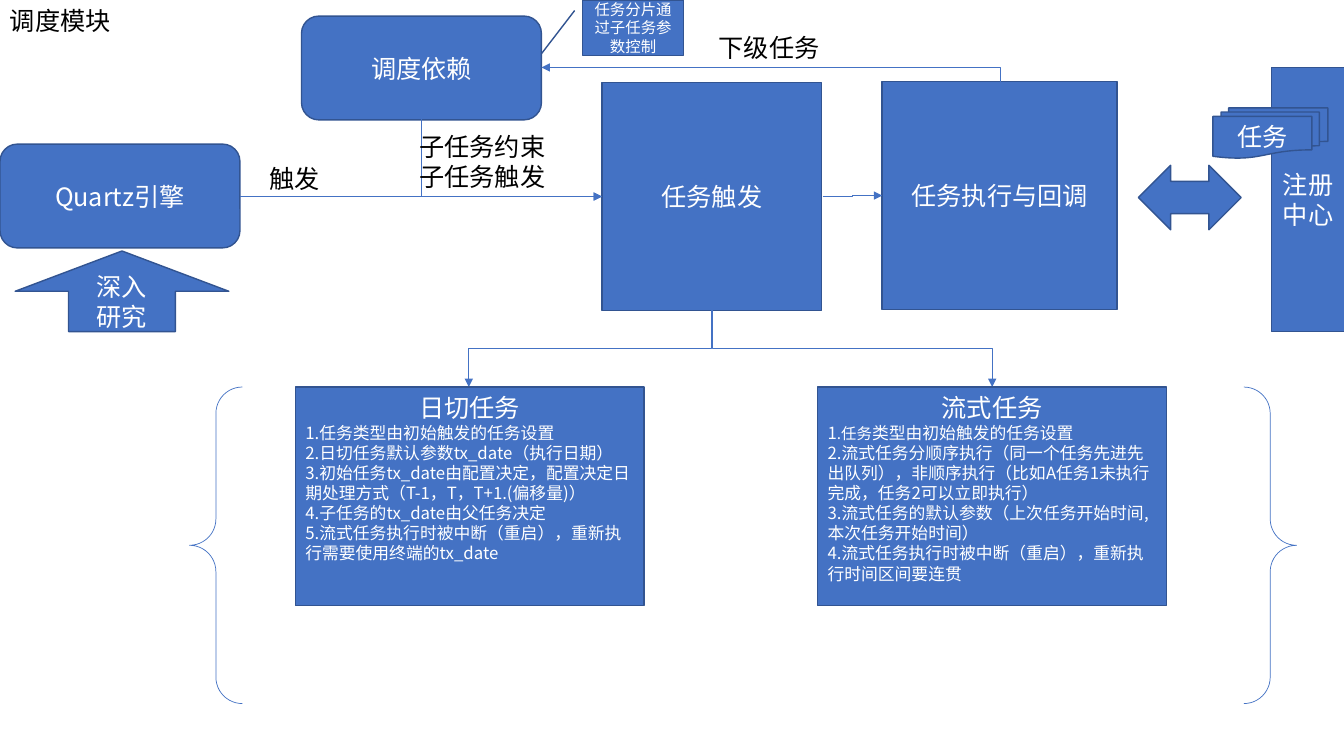
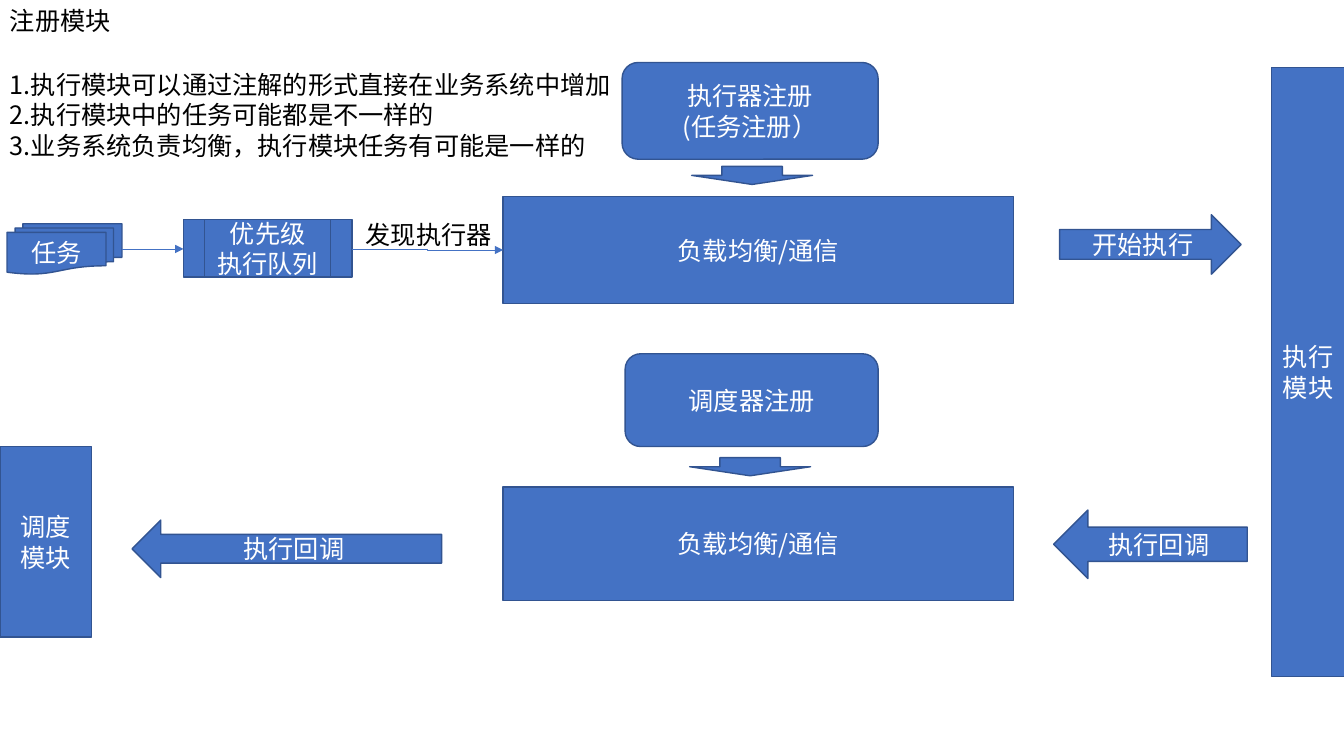
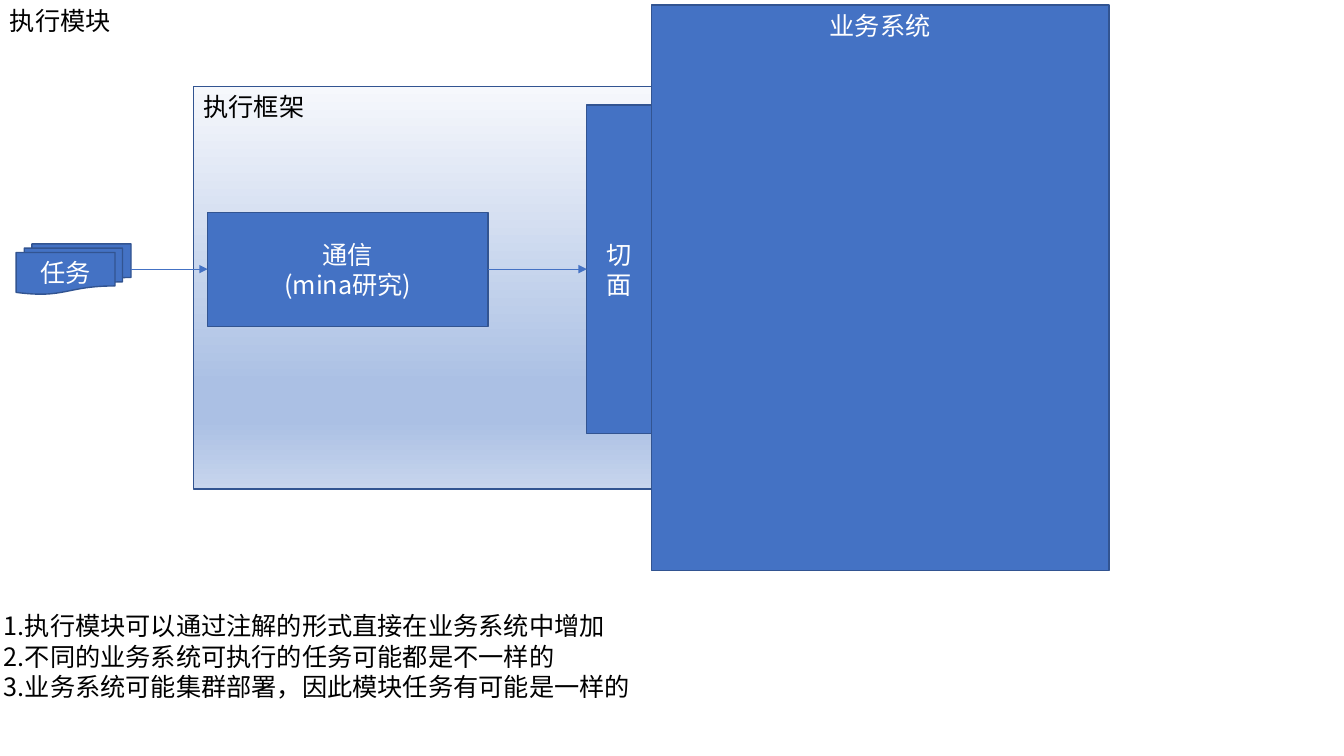
import lxml.etree
import pptx
import pptx.dml.color
import pptx.enum.shapes
import pptx.enum.text
import pptx.oxml.ns
import pptx.util

PX = 9144
FONT = "Noto Sans CJK SC"
BLUE = pptx.dml.color.RGBColor(0x44, 0x72, 0xC4)
EDGE = pptx.dml.color.RGBColor(0x32, 0x54, 0x91)
WHITE = pptx.dml.color.RGBColor(0xFF, 0xFF, 0xFF)
BLACK = pptx.dml.color.RGBColor(0x00, 0x00, 0x00)
FRAME_FADE = (
    (0, pptx.dml.color.RGBColor(0xF6, 0xF8, 0xFC)),
    (74, pptx.dml.color.RGBColor(0xAB, 0xC0, 0xE4)),
    (83, pptx.dml.color.RGBColor(0xAB, 0xC0, 0xE4)),
    (100, pptx.dml.color.RGBColor(0xC7, 0xD5, 0xED)),
)
KIND = pptx.enum.shapes.MSO_SHAPE
CONNECTOR = pptx.enum.shapes.MSO_CONNECTOR
ALIGN = pptx.enum.text.PP_ALIGN
ANCHOR = pptx.enum.text.MSO_ANCHOR
qn = pptx.oxml.ns.qn


def place(slide, at, *lines, kind=None, color=WHITE, size=18, align=ALIGN.CENTER,
          anchor=ANCHOR.MIDDLE, heading=None, wrap=True, fill=BLUE, edge=EDGE, weight=1):
    box = [length * PX for length in at]
    if kind is None:
        part = slide.shapes.add_textbox(*box)
        color, align, anchor = BLACK, ALIGN.LEFT, ANCHOR.TOP
    else:
        part = slide.shapes.add_shape(kind, *box)
        part.shadow.inherit = False
        if fill is None:
            part.fill.background()
        else:
            part.fill.solid()
            part.fill.fore_color.rgb = fill
        part.line.color.rgb = edge
        part.line.width = pptx.util.Pt(weight)
    frame = part.text_frame
    frame.word_wrap = wrap
    frame.vertical_anchor = anchor
    paragraphs = [(line, size, align) for line in lines]
    if heading:
        paragraphs.insert(0, (heading, 18, ALIGN.CENTER))
    for index, (line, points, alignment) in enumerate(paragraphs):
        paragraph = frame.add_paragraph() if index else frame.paragraphs[0]
        paragraph.alignment = alignment
        for words, run_size in line if isinstance(line, tuple) else ((line, points),):
            run = paragraph.add_run()
            run.text = words
            run.font.size = pptx.util.Pt(run_size)
            run.font.name = FONT
            run.font.color.rgb = color
            lxml.etree.SubElement(run.font._element, qn("a:ea"), typeface=FONT)
    return part


def link(slide, start, end, route="across"):
    style = CONNECTOR.STRAIGHT if route == "straight" else CONNECTOR.ELBOW
    (x1, y1), (x2, y2) = start, end
    wire = slide.shapes.add_connector(style, x1 * PX, y1 * PX, x2 * PX, y2 * PX)
    wire.line.color.rgb = BLUE
    wire.line.width = pptx.util.Pt(0.5)
    lxml.etree.SubElement(wire.line._get_or_add_ln(), qn("a:tailEnd"), type="triangle")
    properties = wire._element.spPr
    lxml.etree.SubElement(properties, qn("a:effectLst"))
    if route in ("down", "corner"):
        width, height = abs(y2 - y1), abs(x2 - x1)
        wire.left = (x1 + x2 - width) * PX // 2
        wire.top = (y1 + y2 - height) * PX // 2
        wire.width, wire.height = width * PX, height * PX
        turn = properties.find(qn("a:xfrm"))
        for flip in ("flipH", "flipV"):
            turn.attrib.pop(flip, None)
        turn.set("rot", str((90 if x2 < x1 and y2 > y1 else 270) * 60000))
        if x2 > x1:
            turn.set("flipH", "1")
        elif y2 < y1:
            turn.set("flipV", "1")
        if route == "corner":
            properties.find(qn("a:prstGeom")).set("prst", "bentConnector2")


deck = pptx.Presentation()
deck.slide_width = 1333 * PX
deck.slide_height = 750 * PX
pages = []
for title, task_at in (
    ("调度模块", None),
    ("注册模块", (7, 222)),
    ("执行模块", (16, 242)),
):
    page = deck.slides.add_slide(deck.slide_layouts[6])
    place(page, (0, 0, 121, 40), title, wrap=False)
    if task_at:
        place(page, (*task_at, 114, 50), "任务", kind=KIND.FLOWCHART_MULTIDOCUMENT)
    pages.append(page)
scheduling, registry, execution = pages

for at, words, kind in (
    ((0, 143, 238, 103), "Quartz引擎", KIND.ROUNDED_RECTANGLE),
    ((299, 16, 238, 103), "调度依赖", KIND.ROUNDED_RECTANGLE),
    ((597, 82, 218, 226), "任务触发", KIND.RECTANGLE),
    ((875, 81, 233, 226), "任务执行与回调", KIND.RECTANGLE),
):
    place(scheduling, at, words, kind=kind)
for start, end, route in (
    ((238, 195), (597, 195), "across"),
    ((992, 81), (537, 67), "corner"),
    ((418, 118), (597, 195), "corner"),
    ((816, 195), (875, 194), "across"),
    ((706, 308), (465, 384), "down"),
    ((706, 308), (984, 384), "down"),
):
    link(scheduling, start, end, route)
place(scheduling, (406, 125, 146, 71), "子任务约束", "子任务触发", wrap=False)
place(scheduling, (257, 157, 71, 40), "触发", wrap=False)
place(scheduling, (703, 27, 121, 40), "下级任务", wrap=False)
place(scheduling, (188, 384, 1098, 314), kind=KIND.DOUBLE_BRACE, fill=None, edge=BLUE, weight=0.5)
for left, heading, rules in (
    (293, "日切任务", (
        "1.任务类型由初始触发的任务设置",
        "2.日切任务默认参数tx_date（执行日期）",
        "3.初始任务tx_date由配置决定，配置决定日期处理方式（T-1，T，T+1.(偏移量)）",
        "4.子任务的tx_date由父任务决定",
        "5.流式任务执行时被中断（重启），重新执行需要使用终端的tx_date",
    )),
    (811, "流式任务", (
        (("1", 12), (".任务", 11), ("类型由初始触发的任务设置", 12)),
        "2.流式任务分顺序执行（同一个任务先进先出队列），非顺序执行（比如A任务1未执行完成，任务2可以立即执行）",
        "3.流式任务的默认参数（上次任务开始时间,本次任务开始时间）",
        "4.流式任务执行时被中断（重启），重新执行时间区间要连贯",
    )),
):
    place(scheduling, (left, 384, 346, 217), *rules, kind=KIND.RECTANGLE, heading=heading,
          size=12, align=ALIGN.LEFT, anchor=ANCHOR.TOP)
place(scheduling, (15, 249, 212, 80), "深入", "研究", kind=KIND.UP_ARROW)
place(scheduling, (1129, 164, 102, 64), kind=KIND.LEFT_RIGHT_ARROW)
place(scheduling, (1261, 67, 73, 262), "注册中心", kind=KIND.RECTANGLE)
place(scheduling, (1203, 107, 114, 50), "任务", kind=KIND.FLOWCHART_MULTIDOCUMENT)
sharding = place(scheduling, (578, 0, 100, 55), "任务分片通过子任务参数控制",
                 kind=KIND.LINE_CALLOUT_1, size=11)
for index, ratio in enumerate((0.19, -0.08, 0.97, -0.41)):
    sharding.adjustments[index] = ratio

place(registry, (0, 64, 620, 101), "1.执行模块可以通过注解的形式直接在业务系统中增加",
      "2.执行模块中的任务可能都是不一样的", "3.业务系统负责均衡，执行模块任务有可能是一样的")
for at, lines, kind in (
    ((499, 483, 506, 113), ["负载均衡/通信"], KIND.RECTANGLE),
    ((499, 195, 506, 106), ["负载均衡/通信"], KIND.RECTANGLE),
    ((182, 218, 167, 57), ["优先级", "执行队列"], KIND.FLOWCHART_PREDEFINED_PROCESS),
    ((617, 62, 254, 96), ["执行器注册", "(任务注册）"], KIND.ROUNDED_RECTANGLE),
    ((686, 165, 120, 18), [], KIND.DOWN_ARROW),
    ((1261, 67, 73, 604), ["执行模块"], KIND.RECTANGLE),
    ((1051, 213, 180, 59), ["开始执行"], KIND.RIGHT_ARROW),
    ((1045, 506, 192, 68), ["执行回调"], KIND.LEFT_ARROW),
    ((620, 351, 251, 92), ["调度器注册"], KIND.ROUNDED_RECTANGLE),
    ((684, 454, 120, 18), [], KIND.DOWN_ARROW),
    ((131, 516, 307, 57), ["执行回调"], KIND.LEFT_ARROW),
    ((0, 443, 91, 189), ["调度模块"], KIND.RECTANGLE),
):
    place(registry, at, *lines, kind=kind)
link(registry, (121, 247), (182, 247))
link(registry, (349, 247), (499, 248))
place(registry, (353, 213, 146, 40), "发现执行器", wrap=False)

framework = place(execution, (192, 86, 454, 399), "执行框架", kind=KIND.RECTANGLE,
                  color=BLACK, align=ALIGN.LEFT, anchor=ANCHOR.TOP)
framework.fill.gradient()
framework.fill.gradient_angle = 270
fade = framework._element.spPr.find(".//" + qn("a:gsLst"))
fade.clear()
for percent, tint in FRAME_FADE:
    stop = lxml.etree.SubElement(fade, qn("a:gs"), pos=str(percent * 1000))
    lxml.etree.SubElement(stop, qn("a:srgbClr"), val=str(tint))
place(execution, (-6, 601, 645, 101), "1.执行模块可以通过注解的形式直接在业务系统中增加",
      "2.不同的业务系统可执行的任务可能都是不一样的",
      "3.业务系统可能集群部署，因此模块任务有可能是一样的")
place(execution, (206, 211, 278, 113), "通信", "(mina研究)", kind=KIND.RECTANGLE)
place(execution, (582, 104, 64, 326), "切面", kind=KIND.RECTANGLE)
place(execution, (646, 5, 454, 561), "业务系统", kind=KIND.RECTANGLE, anchor=ANCHOR.TOP)
link(execution, (130, 267), (206, 267), "straight")
link(execution, (484, 267), (582, 267))

deck.save("out.pptx")
